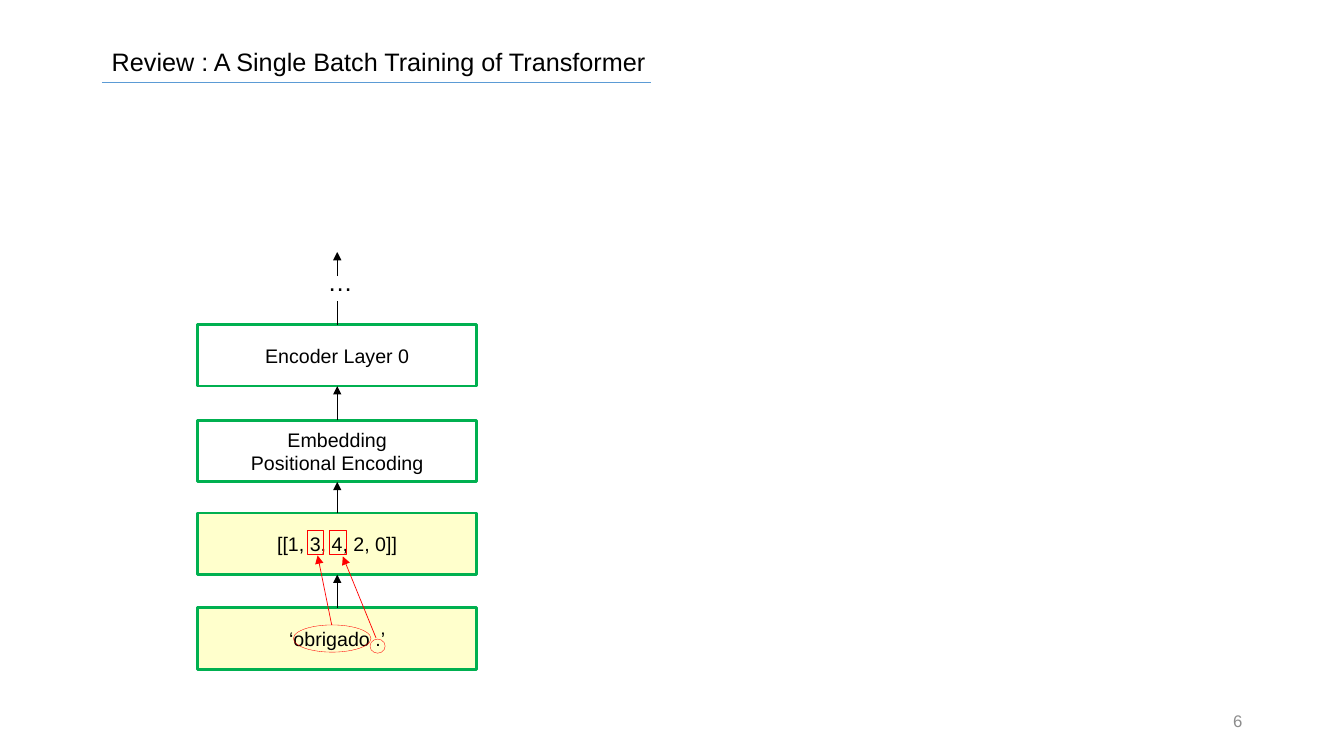
from pptx import Presentation
from pptx.dml.color import RGBColor
from pptx.enum.shapes import MSO_CONNECTOR, MSO_SHAPE
from pptx.enum.text import MSO_ANCHOR, PP_ALIGN
from pptx.oxml.ns import qn
from pptx.util import Inches, Pt
from lxml import etree

RECTANGLE, OVAL = MSO_SHAPE.RECTANGLE, MSO_SHAPE.OVAL
STRAIGHT = MSO_CONNECTOR.STRAIGHT
LEFT, CENTER, RIGHT = PP_ALIGN.LEFT, PP_ALIGN.CENTER, PP_ALIGN.RIGHT
MIDDLE, TOP = MSO_ANCHOR.MIDDLE, MSO_ANCHOR.TOP
TOP_SIDE, BOTTOM_SIDE = 0, 2
BLACK, GRAY, RED, GREEN = "000000", "8C8C8C", "FF0000", "00B050"
BLUE, CREAM = "5B9BD5", "FFFFCC"

deck = Presentation()
deck.slide_width, deck.slide_height = Inches(13.33), Inches(7.5)
page = deck.slides.add_slide(deck.slide_layouts[6])


def write(shape, text, size, color=BLACK, align=LEFT, anchor=TOP):
    frame = shape.text_frame
    frame.word_wrap = True
    frame.vertical_anchor = anchor
    frame.text = text
    for para in frame.paragraphs:
        para.alignment = align
        para.font.name = "Arial"
        para.font.size = Pt(size)
        para.font.color.rgb = RGBColor.from_string(color)


def add_line(start, end, color=BLACK, arrow=True):
    line = page.shapes.add_connector(STRAIGHT, *map(Inches, start + end))
    line.line.color.rgb = RGBColor.from_string(color)
    line.line.width = Pt(0.5)
    if arrow:
        tail = etree.SubElement(line.line._get_or_add_ln(), qn("a:tailEnd"))
        tail.set("type", "triangle")
    etree.SubElement(line._element.spPr, qn("a:effectLst"))
    return line


# Title, its rule, the ellipsis and the page number
for area, text, size, color, align, anchor in [
    ((1.01, 0.41, 5.69, 0.4), "Review : A Single Batch Training of Transformer",
     18, BLACK, LEFT, TOP),
    ((3.15, 2.59, 0.91, 0.4), "…", 18, BLACK, LEFT, TOP),
    ((9.42, 6.95, 3, 0.4), "6", 12, GRAY, RIGHT, MIDDLE),
]:
    box = page.shapes.add_textbox(*map(Inches, area))
    write(box, text, size, color, align, anchor)
add_line((1.01, 0.82), (6.46, 0.82), BLUE, arrow=False)

# Encoder stack, from the input upwards, each stage joined to the one below
stack_left, stage_width, stage_height = 1.96, 2.77, 0.61
axis = stack_left + stage_width / 2
stages = [
    (6.03, "‘obrigado .’", CREAM),
    (5.09, "[[1, 3, 4, 2, 0]]", CREAM),
    (4.17, "Embedding\nPositional Encoding", None),
    (3.22, "Encoder Layer 0", None),
]
below = None
for top, text, fill in stages:
    stage = page.shapes.add_shape(
        RECTANGLE, Inches(stack_left), Inches(top),
        Inches(stage_width), Inches(stage_height))
    stage.shadow.inherit = False
    if fill:
        stage.fill.solid()
        stage.fill.fore_color.rgb = RGBColor.from_string(fill)
    else:
        stage.fill.background()
    stage.line.color.rgb = RGBColor.from_string(GREEN)
    stage.line.width = Pt(2)
    write(stage, text, 14, align=CENTER, anchor=MIDDLE)
    if below:
        arrow = add_line((axis, top + 1), (axis, top + stage_height))
        arrow.begin_connect(below, TOP_SIDE)
        arrow.end_connect(stage, BOTTOM_SIDE)
    below = stage

# Way up to the further layers
stub = add_line((axis, 3.22), (axis, 2.99), arrow=False)
stub.begin_connect(below, TOP_SIDE)
add_line((axis, 2.74), (axis, 2.5))

# Red marks: each word and its token number
for kind, area in [
    (OVAL, (2.91, 6.2, 0.77, 0.27)),
    (RECTANGLE, (3.05, 5.26, 0.16, 0.24)),
    (OVAL, (3.67, 6.34, 0.15, 0.14)),
    (RECTANGLE, (3.27, 5.26, 0.16, 0.24)),
]:
    mark = page.shapes.add_shape(kind, *map(Inches, area))
    mark.shadow.inherit = False
    mark.fill.background()
    mark.line.color.rgb = RGBColor.from_string(RED)
    mark.line.width = Pt(0.25)
add_line((3.29, 6.2), (3.15, 5.51), RED)
add_line((3.73, 6.33), (3.4, 5.52), RED)

deck.save("out.pptx")
